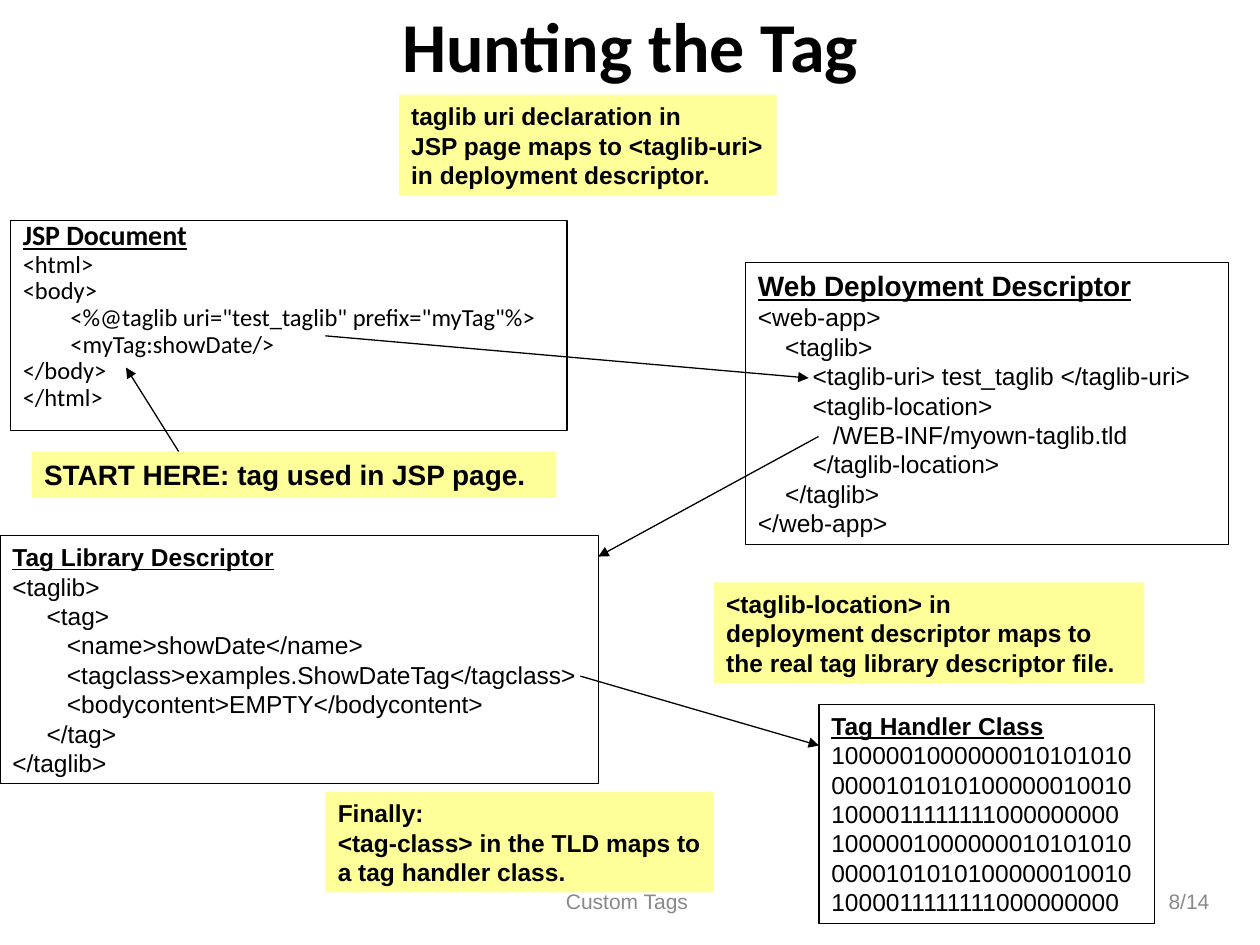
from lxml import etree
from pptx import Presentation
from pptx.dml.color import RGBColor
from pptx.enum.shapes import MSO_CONNECTOR, MSO_SHAPE
from pptx.enum.text import MSO_ANCHOR, MSO_AUTO_SIZE, PP_ALIGN
from pptx.oxml.ns import qn
from pptx.util import Cm, Pt

LEFT, CENTER, RIGHT = PP_ALIGN.LEFT, PP_ALIGN.CENTER, PP_ALIGN.RIGHT
TOP, MIDDLE = MSO_ANCHOR.TOP, MSO_ANCHOR.MIDDLE
GROW = MSO_AUTO_SIZE.SHAPE_TO_FIT_TEXT
RECTANGLE, STRAIGHT = MSO_SHAPE.RECTANGLE, MSO_CONNECTOR.STRAIGHT

COLORS = {"text": "000000", "line": "000000", "note": "FFFF99", "footer": "898989"}
LINE_WIDTH = Pt(0.75)

# Each line of a listing is (indent in cm, text).
JSP_DOCUMENT = [
    (0, "<html>"),
    (0, "<body>"),
    (0.96, '<%@taglib uri="test_taglib" prefix="myTag"%>'),
    (0.96, "<myTag:showDate/>"),
    (0, "</body>"),
    (0, "</html>"),
]
WEB_DESCRIPTOR = [
    (0, "<web-app>"),
    (0.55, "<taglib>"),
    (1.1, "<taglib-uri> test_taglib </taglib-uri>"),
    (1.1, "<taglib-location>"),
    (1.51, "/WEB-INF/myown-taglib.tld"),
    (1.1, "</taglib-location>"),
    (0.55, "</taglib>"),
    (0, "</web-app>"),
]
LIBRARY_DESCRIPTOR = [
    (0, "<taglib>"),
    (0.69, "<tag>"),
    (1.1, "<name>showDate</name>"),
    (1.1, "<tagclass>examples.ShowDateTag</tagclass>"),
    (1.1, "<bodycontent>EMPTY</bodycontent>"),
    (0.69, "</tag>"),
    (0, "</taglib>"),
]
HANDLER_BITS = [
    (0, "1000001000000010101010"),
    (0, "0000101010100000010010"),
    (0, "1000011111111000000000"),
] * 2

# Boxes are (left, top, width, height) in cm.
PANELS = [
    ("JSP Document", 16, "Calibri", JSP_DOCUMENT, (0.21, 4.45, 11.22, 4.23)),
    ("Web Deployment Descriptor", 16, "Arial", WEB_DESCRIPTOR, (15.03, 5.29, 9.74, 5.69)),
    ("Tag Library Descriptor", 14, "Arial", LIBRARY_DESCRIPTOR, (0, 10.8, 12.06, 5)),
    ("Tag Handler Class", 14, "Arial", HANDLER_BITS, (16.51, 14.2, 6.77, 4.42)),
]
NOTES = [
    (["START HERE: tag used in JSP page."], 16, (0.64, 9.1, 10.58, 0.94)),
    (["taglib uri declaration in",
      "JSP page maps to <taglib-uri> in deployment descriptor."], 14,
     (8.04, 1.91, 7.62, 2.03)),
    (["<taglib-location> in", "deployment descriptor maps to",
      "the real tag library descriptor file."], 14, (14.39, 11.74, 8.68, 2.03)),
    (["Finally:", "<tag-class> in the TLD maps to a tag handler class."], 14,
     (6.56, 15.96, 7.83, 2.03)),
]
# Arrows start and end beside the code they connect, clear of its letters.
ARROWS = [
    ((3.6, 9.1), (2.54, 7.41)),
    ((6.56, 6.77), (16.3, 7.62)),
    ((16.5, 8.8), (12.06, 11.22)),
    ((11.7, 13.63), (16.51, 15.03)),
]


def color(name):
    return RGBColor.from_string(COLORS[name])


def set_values(target, values):
    for name, value in values.items():
        setattr(target, name, value)


def prepare_frame(shape, anchor=TOP):
    frame = shape.text_frame
    set_values(frame, {
        "word_wrap": True, "vertical_anchor": anchor,
        "margin_left": Cm(0.25), "margin_right": Cm(0.25),
        "margin_top": Cm(0.13), "margin_bottom": Cm(0.13),
    })
    return frame


def write_line(paragraph, text, size, font="Arial", ink="text", align=LEFT,
               indent=0, **style):
    paragraph.alignment = align
    if indent:
        paragraph._p.get_or_add_pPr().set("marL", str(Cm(indent)))
    run = paragraph.add_run()
    run.text = text
    set_values(run.font, {"name": font, "size": Pt(size), **style})
    run.font.color.rgb = color(ink)


def next_paragraph(frame, index):
    return frame.add_paragraph() if index else frame.paragraphs[0]


def add_label(slide, text, box, size, **style):
    """Add one line of text without fill or outline, centred vertically."""
    shape = slide.shapes.add_textbox(*map(Cm, box))
    write_line(prepare_frame(shape, MIDDLE).paragraphs[0], text, size, **style)


def add_rectangle(slide, box):
    shape = slide.shapes.add_shape(RECTANGLE, *map(Cm, box))
    shape.shadow.inherit = False
    return shape


def add_panel(slide, heading, heading_size, font, lines, box):
    """Add an outlined listing under an underlined heading."""
    shape = add_rectangle(slide, box)
    shape.fill.background()
    shape.line.color.rgb = color("line")
    shape.line.width = LINE_WIDTH
    frame = prepare_frame(shape)
    tight = font == "Calibri"
    if not tight:
        frame.auto_size = GROW
    for index, (indent, text) in enumerate([(0, heading)] + lines):
        is_heading = index == 0
        size = heading_size if is_heading else 14
        paragraph = next_paragraph(frame, index)
        write_line(paragraph, text, size, font, indent=indent,
                   bold=is_heading, underline=is_heading)
        if tight:
            set_values(paragraph, {"line_spacing": 0.7, "space_before": Pt(size / 4)})


def add_note(slide, lines, size, box):
    shape = add_rectangle(slide, box)
    shape.fill.solid()
    shape.fill.fore_color.rgb = color("note")
    shape.line.fill.background()
    frame = prepare_frame(shape)
    frame.auto_size = GROW
    for index, text in enumerate(lines):
        write_line(next_paragraph(frame, index), text, size, bold=True)


def add_arrow(slide, start, end):
    connector = slide.shapes.add_connector(STRAIGHT, *map(Cm, start + end))
    connector.line.color.rgb = color("line")
    connector.line.width = LINE_WIDTH
    etree.SubElement(connector.line._get_or_add_ln(), qn("a:tailEnd"), type="triangle")
    etree.SubElement(connector._element.spPr, qn("a:effectLst"))


def main():
    presentation = Presentation()
    presentation.slide_width, presentation.slide_height = Cm(25.4), Cm(19.05)
    slide = presentation.slides.add_slide(presentation.slide_layouts[6])

    add_label(slide, "Custom Tags ", (8.68, 17.66, 8.04, 1.01), 12,
              ink="footer", align=CENTER)
    add_label(slide, "8/14", (18.7, 17.66, 5.93, 1.01), 12,
              ink="footer", align=RIGHT)
    add_label(slide, "Hunting the Tag", (1.27, 0, 22.86, 1.78), 40,
              font="Calibri", align=CENTER, bold=True)
    for panel in PANELS:
        add_panel(slide, *panel)
    for note in NOTES:
        add_note(slide, *note)
    for arrow in ARROWS:
        add_arrow(slide, *arrow)

    presentation.save("out.pptx")


if __name__ == "__main__":
    main()
